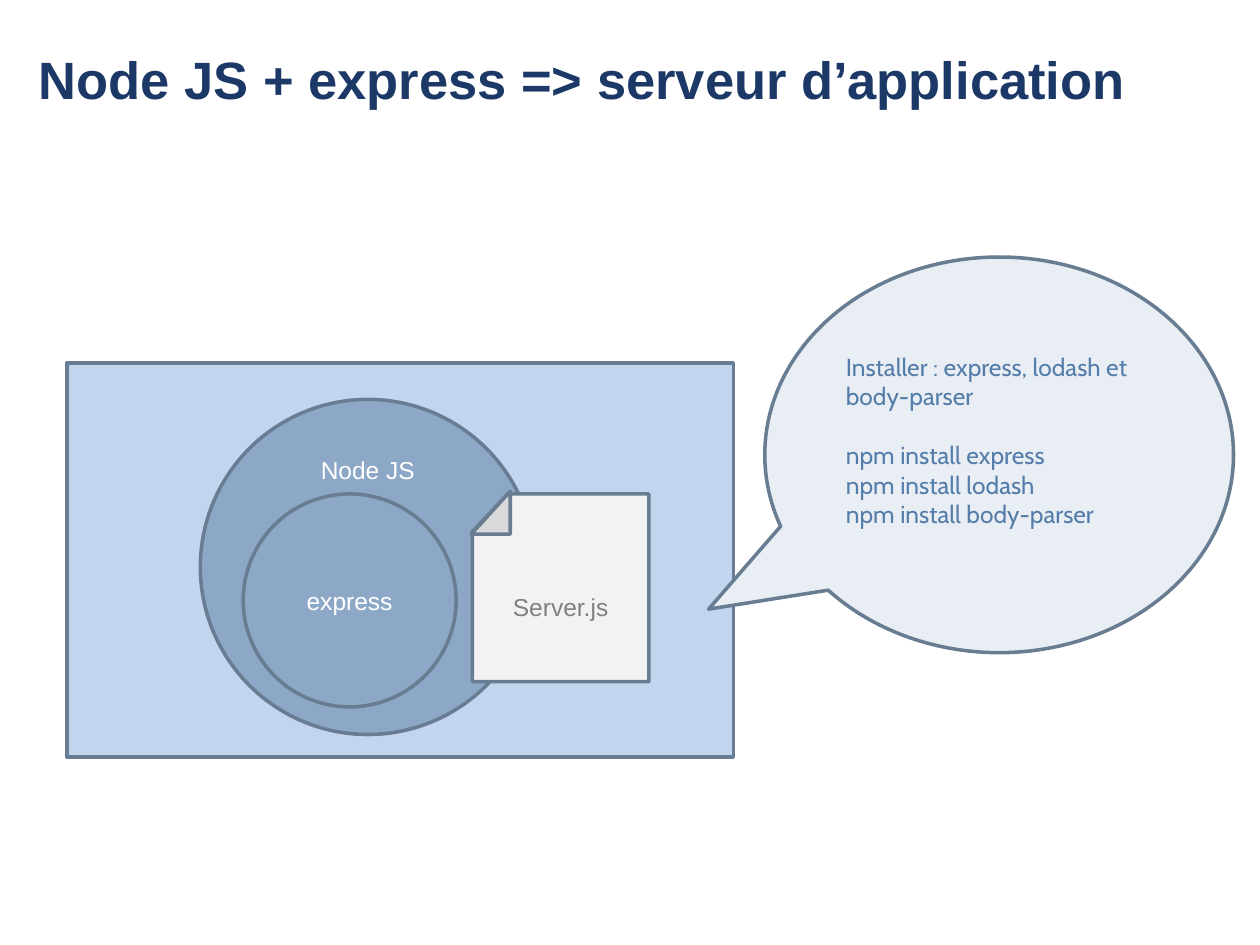
from pptx import Presentation
from pptx.dml.color import RGBColor
from pptx.enum.shapes import MSO_SHAPE
from pptx.enum.text import MSO_ANCHOR, PP_ALIGN
from pptx.util import Inches, Pt

EDGE = "687C92"
DISC = "8DA8C6"


def color(fmt, code):
    fmt.rgb = RGBColor.from_string(code)


def write(shape, *lines, font="Arial", size=14, ink="FFFFFF", bold=False,
          align=PP_ALIGN.CENTER, anchor=MSO_ANCHOR.MIDDLE, gaps=(),
          inset=(0.1, 0.05, 0.1, 0.05)):
    frame = shape.text_frame
    frame.word_wrap = True
    frame.vertical_anchor = anchor
    left, top, right, base = map(Inches, inset)
    frame.margin_left, frame.margin_top = left, top
    frame.margin_right, frame.margin_bottom = right, base
    for i, line in enumerate(lines):
        para = frame.add_paragraph() if i else frame.paragraphs[0]
        para.alignment = align
        if i in gaps:
            para.space_before = Pt(size * 1.2)
        run = para.add_run()
        run.text = line
        run.font.name = font
        run.font.size = Pt(size)
        run.font.bold = bold
        color(run.font.color, ink)


def draw(slide, kind, box, fill):
    shape = slide.shapes.add_shape(kind, *map(Inches, box))
    shape.shadow.inherit = False
    shape.fill.solid()
    color(shape.fill.fore_color, fill)
    color(shape.line.color, EDGE)
    shape.line.width = Pt(2)
    return shape


def head(slide, text):
    box = slide.shapes.add_textbox(*map(Inches, (0.31, 0.31, 9.37, 0.94)))
    write(box, text, size=30, ink="1B3866", bold=True, align=PP_ALIGN.LEFT,
          anchor=MSO_ANCHOR.TOP, inset=(0, 0.06, 0, 0))


def server(slide):
    draw(slide, MSO_SHAPE.RECTANGLE, (0.53, 2.88, 5.29, 3.13), "C3D4EF")
    node = draw(slide, MSO_SHAPE.OVAL, (1.59, 3.17, 2.66, 2.66), DISC)
    write(node, "Node JS", anchor=MSO_ANCHOR.TOP)
    express = draw(slide, MSO_SHAPE.OVAL, (1.93, 3.92, 1.69, 1.69), DISC)
    write(express, "express")


def page(slide):
    sheet = draw(slide, MSO_SHAPE.FLOWCHART_CARD,
                 (3.75, 3.92, 1.4, 1.49), "F2F2F2")
    write(sheet, "Server.js", ink="808080")
    fold = draw(slide, MSO_SHAPE.RIGHT_TRIANGLE,
                (3.74, 3.9, 0.31, 0.34), "D9D9D9")
    fold.element.spPr.get_or_add_xfrm().set("flipH", "1")


def callout(slide):
    bubble = draw(slide, MSO_SHAPE.OVAL_CALLOUT,
                  (6.07, 2.04, 3.72, 3.14), "E8EEF4")
    bubble.adjustments[0] = -0.62
    bubble.adjustments[1] = 0.39
    tools = ("express", "lodash", "body-parser")
    write(bubble, "Installer : express, lodash et body-parser",
          *(f"npm install {tool}" for tool in tools),
          font="Cabin", ink="557DAA", align=PP_ALIGN.LEFT, gaps=(1,),
          inset=(0.1, 0.05, 0.1, 0.28))


def main():
    deck = Presentation()
    deck.slide_width, deck.slide_height = Inches(10), Inches(7.5)
    slide = deck.slides.add_slide(deck.slide_layouts[6])
    head(slide, "Node JS + express => serveur d’application")
    server(slide)
    page(slide)
    callout(slide)
    deck.save("out.pptx")


if __name__ == "__main__":
    main()
